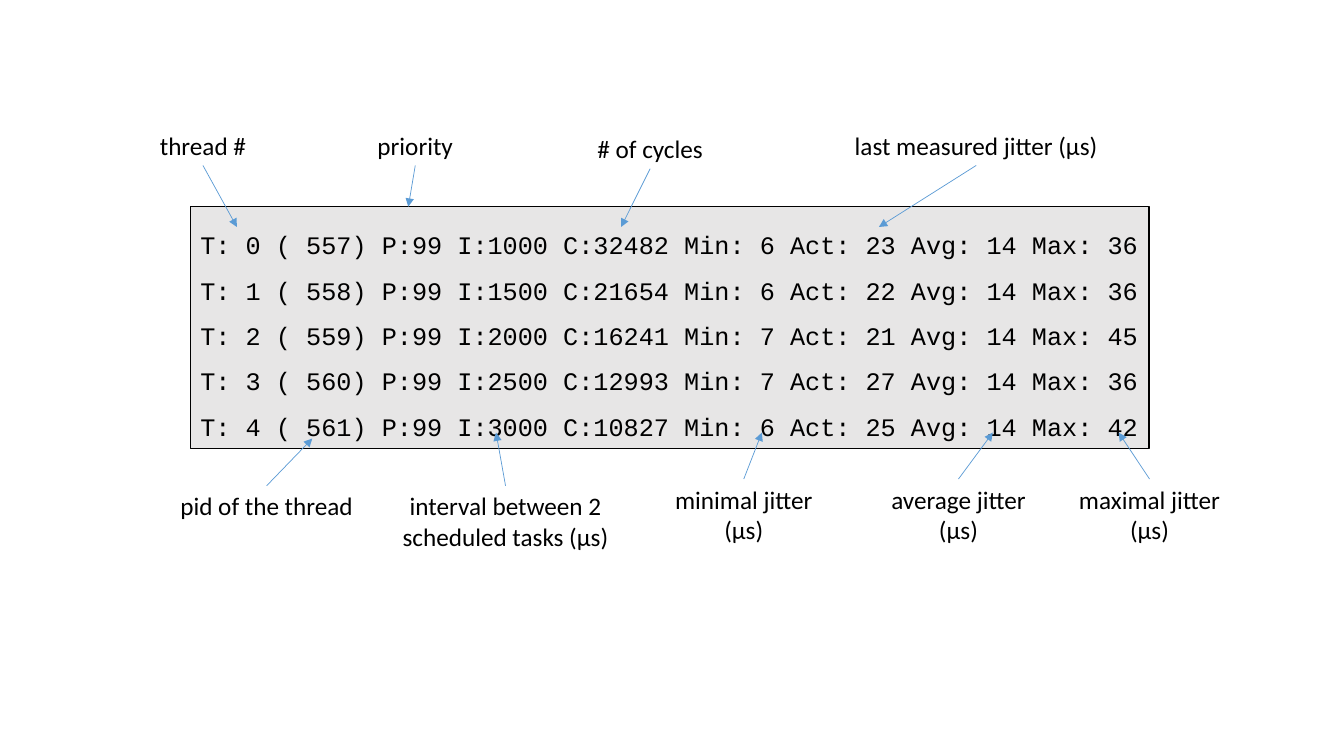
from dataclasses import dataclass

from lxml.etree import SubElement
from pptx import Presentation
from pptx.dml.color import RGBColor
from pptx.enum.shapes import MSO_CONNECTOR as Connector, MSO_SHAPE as Preset
from pptx.enum.text import MSO_ANCHOR as Anchor, MSO_AUTO_SIZE as AutoSize, PP_ALIGN as Align
from pptx.oxml.ns import qn
from pptx.slide import Slide
from pptx.text.text import TextFrame
from pptx.util import Cm, Pt


@dataclass(frozen=True)
class Theme:
    ink: RGBColor = RGBColor(0x00, 0x00, 0x00)
    panel: RGBColor = RGBColor(0xE7, 0xE6, 0xE6)
    arrow: RGBColor = RGBColor(0x5B, 0x9B, 0xD5)
    label_font: str = "Calibri"
    code_font: str = "Courier New"
    text_size: Pt = Pt(18)
    panel_line: Pt = Pt(1)
    arrow_line: Pt = Pt(0.5)


@dataclass(frozen=True)
class Callout:
    text: str
    left: float
    top: float
    width: float
    tip_x: float
    tip_y: float
    lines: int = 1

    @property
    def height(self) -> float:
        return 1.02 if self.lines == 1 else 1.8

    @property
    def center(self) -> float:
        return self.left + self.width / 2

    @property
    def arrow_start(self) -> float:
        return self.top + self.height if self.tip_y > self.top else self.top


@dataclass(frozen=True)
class ThreadResult:
    thread: int
    cycles: int
    minimum: int
    actual: int
    maximum: int

    @property
    def text(self) -> str:
        return (
            f"T: {self.thread} ( {557 + self.thread}) P:99 I:{1000 + 500 * self.thread} "
            f"C:{self.cycles} Min: {self.minimum} Act: {self.actual} Avg: 14 Max: {self.maximum}"
        )


THEME = Theme()

RESULTS = [
    ThreadResult(0, 32482, 6, 23, 36),
    ThreadResult(1, 21654, 6, 22, 36),
    ThreadResult(2, 16241, 7, 21, 45),
    ThreadResult(3, 12993, 7, 27, 36),
    ThreadResult(4, 10827, 6, 25, 42),
]

CALLOUTS = [
    Callout("thread #", 3.73, 3.15, 2.77, 5.97, 5.72),
    Callout("priority", 8.46, 3.15, 4.01, 10.29, 5.21),
    Callout("# of cycles", 14.38, 3.23, 4.01, 15.65, 5.72),
    Callout("last measured jitter (µs)", 21.16, 3.15, 6.88, 22.15, 5.72),
    Callout("pid of the thread", 3.81, 12.24, 5.82, 7.87, 11.05),
    Callout("interval between 2 scheduled tasks (µs)", 9.83, 12.24, 5.82, 12.5, 10.9, 2),
    Callout("minimal jitter\n(µs)", 16.74, 12.07, 4.01, 19.2, 10.9, 2),
    Callout("average jitter\n(µs)", 22.15, 12.07, 4.01, 25.02, 10.9, 2),
    Callout("maximal jitter\n(µs)", 26.39, 12.07, 5.16, 28.19, 10.9, 2),
]


def write_text(
    text_frame: TextFrame, text: str, font: str, alignment: Align, line_spacing: float = 1.0
) -> None:
    text_frame.word_wrap = True
    text_frame.text = text
    for paragraph in text_frame.paragraphs:
        paragraph.alignment = alignment
        paragraph.line_spacing = line_spacing
        for run in paragraph.runs:
            run.font.name = font
            run.font.size = THEME.text_size
            run.font.color.rgb = THEME.ink


def draw_output(slide: Slide, results: list[ThreadResult]) -> None:
    panel = slide.shapes.add_shape(Preset.RECTANGLE, Cm(4.8), Cm(5.21), Cm(24.16), Cm(6.1))
    panel.shadow.inherit = False
    panel.fill.solid()
    panel.fill.fore_color.rgb = THEME.panel
    panel.line.color.rgb = THEME.ink
    panel.line.width = THEME.panel_line
    panel.text_frame.vertical_anchor = Anchor.MIDDLE
    output = "\n".join(result.text for result in results)
    write_text(panel.text_frame, output, THEME.code_font, Align.JUSTIFY, 1.5)


def draw_callout(slide: Slide, callout: Callout) -> None:
    label = slide.shapes.add_textbox(
        Cm(callout.left), Cm(callout.top), Cm(callout.width), Cm(callout.height)
    )
    write_text(label.text_frame, callout.text, THEME.label_font, Align.CENTER)
    label.text_frame.auto_size = AutoSize.SHAPE_TO_FIT_TEXT

    arrow = slide.shapes.add_connector(
        Connector.STRAIGHT,
        Cm(callout.center),
        Cm(callout.arrow_start),
        Cm(callout.tip_x),
        Cm(callout.tip_y),
    )
    arrow.line.color.rgb = THEME.arrow
    arrow.line.width = THEME.arrow_line
    properties = arrow.element.spPr
    SubElement(properties.find(qn("a:ln")), qn("a:tailEnd"), type="triangle")
    SubElement(properties, qn("a:effectLst"))


def main() -> None:
    presentation = Presentation()
    presentation.slide_width = Cm(33.87)
    presentation.slide_height = Cm(19.05)
    slide = presentation.slides.add_slide(presentation.slide_layouts[6])
    draw_output(slide, RESULTS)
    for callout in CALLOUTS:
        draw_callout(slide, callout)
    presentation.save("out.pptx")


if __name__ == "__main__":
    main()
